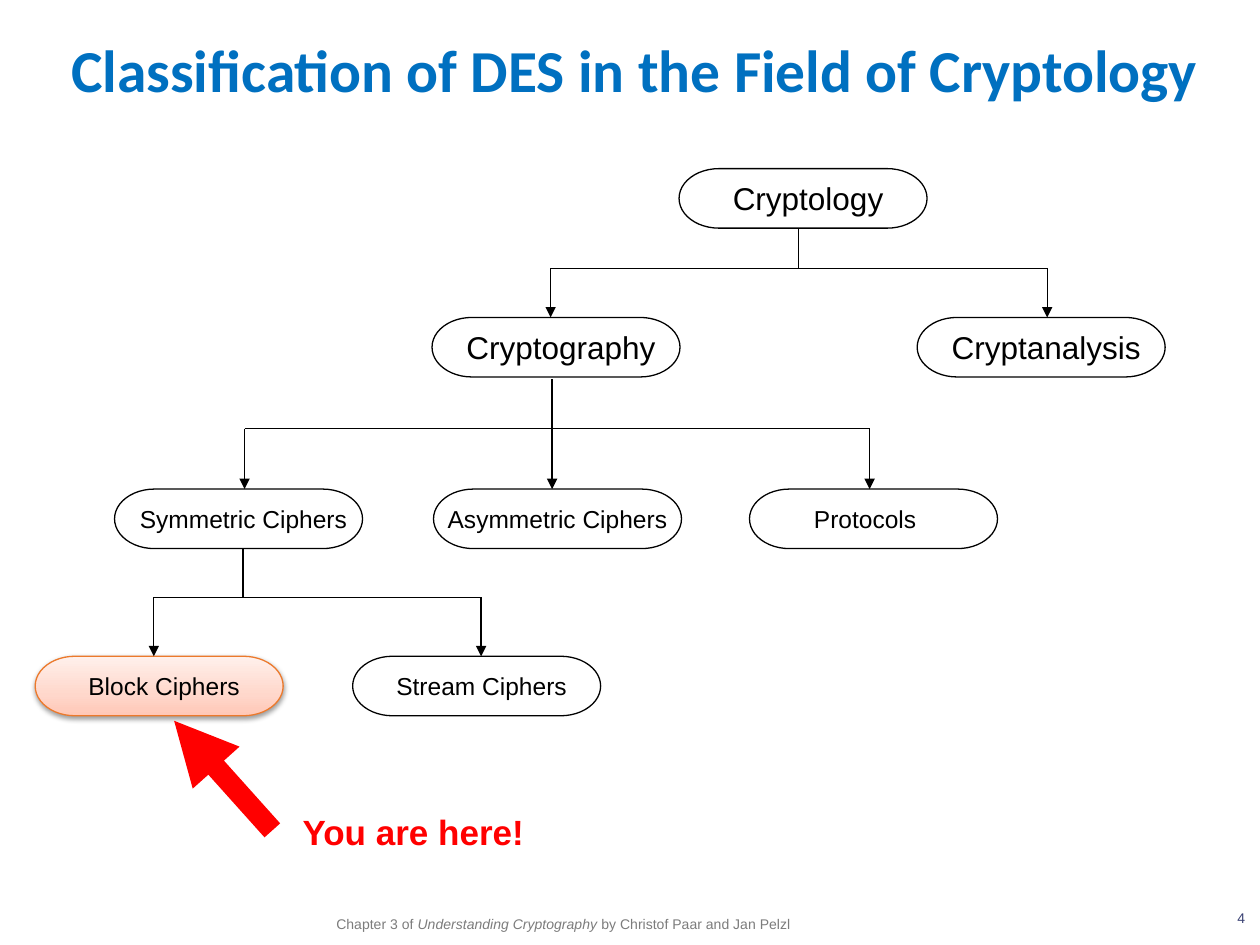
from pptx import Presentation
from pptx.dml.color import RGBColor
from pptx.enum.shapes import MSO_CONNECTOR, MSO_SHAPE
from pptx.enum.text import MSO_ANCHOR, MSO_AUTO_SIZE, PP_ALIGN
from pptx.oxml import parse_xml
from pptx.oxml.ns import nsdecls
from pptx.util import Cm, Pt

PILL = MSO_SHAPE.FLOWCHART_TERMINATOR
LINE = MSO_CONNECTOR.STRAIGHT
MIDDLE, NOFIT = MSO_ANCHOR.MIDDLE, MSO_AUTO_SIZE.NONE
LEFT, CENTER, RIGHT = PP_ALIGN.LEFT, PP_ALIGN.CENTER, PP_ALIGN.RIGHT

HEX = {
    "ink": "000000", "title": "0070C0", "mark": "FF0000", "edge": "EC792B",
    "foot": "7C7C7C", "page": "394073",
}
GLOW = [(0, "FFC7B6"), (35, "FFD7CB"), (100, "FFF0EB")]
NODE_W, NODE_H = 5, 1.2

# Rows of the tree: top, font size, nodes as (left, text, text shift)
ROWS = [
    (3.4, 18, [(13.69, "Cryptology", 0.2)]),
    (6.4, 18, [(8.71, "Cryptography", 0.2), (18.49, "Cryptanalysis", 0.2)]),
    (9.86, 14, [(2.31, "Symmetric Ciphers", 0.2),
                (8.74, "Asymmetric Ciphers", 0.1),
                (15.11, "Protocols ", 0)]),
    (13.23, 14, [(0.71, "Block Ciphers", 0.2), (7.11, "Stream Ciphers", 0.2)]),
]
# Branches: stem x, stem top, bar y, arrow end y, arrow xs
FORKS = [
    (16.1, 4.62, 5.41, 6.4, [11.1, 21.11]),
    (11.13, 7.65, 8.64, 9.86, [4.93, 11.13, 17.53]),
    (4.9, 11.05, 12.04, 13.23, [3.1, 9.7]),
]


def color(name):
    return RGBColor.from_string(HEX[name])


def style(font, size, name, face="Arial", bold=False):
    font.size, font.name, font.bold = Pt(size), face, bold
    font.color.rgb = color(name)


def label(slide, box, text, size, name, align=CENTER, bold=False, wrap=True):
    """Add a text box without margins and return its paragraph."""
    frame = slide.shapes.add_textbox(*map(Cm, box)).text_frame
    frame.margin_left = frame.margin_right = 0
    frame.margin_top = frame.margin_bottom = 0
    frame.word_wrap = wrap
    para = frame.paragraphs[0]
    para.alignment = align
    if text:
        para.add_run().text = text
    style(para.font, size, name, bold=bold)
    return para


def line(slide, start, end, name="ink", width=0.75, arrow=False):
    link = slide.shapes.add_connector(LINE, *map(Cm, start + end))
    link.line.color.rgb = color(name)
    link.line.width = Pt(width)
    if arrow:
        link.line._get_or_add_ln().append(
            parse_xml(f'<a:tailEnd {nsdecls("a")} type="triangle"/>'))
    link._element.spPr.append(parse_xml(f'<a:effectLst {nsdecls("a")}/>'))


def glow(shape):
    """Give the current node its gradient and soft shadow."""
    stops = "".join(
        f'<a:gs pos="{pos * 1000}"><a:srgbClr val="{tone}"/></a:gs>'
        for pos, tone in GLOW)
    props = shape._element.spPr
    props.remove(props.find("{*}noFill"))
    props.insert(2, parse_xml(
        f'<a:gradFill {nsdecls("a")} rotWithShape="1"><a:gsLst>{stops}</a:gsLst>'
        '<a:lin ang="16200000" scaled="0"/></a:gradFill>'))
    props.find("{*}effectLst").append(parse_xml(
        f'<a:outerShdw {nsdecls("a")} blurRad="{Pt(3.1)}" dist="{Pt(1.6)}" '
        'dir="5400000" rotWithShape="0"><a:srgbClr val="000000">'
        '<a:alpha val="38000"/></a:srgbClr></a:outerShdw>'))


def node(slide, left, top, text, shift, size):
    here = text == "Block Ciphers"
    pill = slide.shapes.add_shape(PILL, *map(Cm, (left, top, NODE_W, NODE_H)))
    pill.shadow.inherit = False
    pill.fill.background()
    pill.line.color.rgb = color("edge" if here else "ink")
    pill.line.width = Pt(0.75)
    if here:
        glow(pill)
    high = size * 0.043
    box = (left + shift, top + (NODE_H - high) / 2, 4.8, high)
    label(slide, box, text, size, "ink")


def fork(slide, stem, top, bar, end, tips):
    line(slide, (stem, top), (stem, bar))
    line(slide, (tips[0], bar), (tips[-1], bar))
    for tip in tips:
        line(slide, (tip, bar), (tip, end), arrow=True)


def tree(slide):
    for top, size, nodes in ROWS:
        for left, text, shift in nodes:
            node(slide, left, top, text, shift, size)
    for parts in FORKS:
        fork(slide, *parts)


def head(slide, box):
    title = slide.shapes.title
    title.left, title.top, title.width, title.height = map(Cm, box)
    frame = title.text_frame
    frame.text = "Classification of DES in the Field of Cryptology"
    frame.vertical_anchor, frame.auto_size = MIDDLE, NOFIT
    para = frame.paragraphs[0]
    para.alignment = CENTER
    style(para.font, 34, "title", "Calibri", True)


def pointer(slide, left, top):
    line(slide, (left + 1.98, top + 2.21), (left, top), "mark", 12, True)
    label(slide, (left + 2.59, top + 1.8, 4.5, 0.84), "You are here!", 20,
          "mark", LEFT, True, False)


def foot(slide, left, top):
    para = label(slide, (left, top, 12, 0.6), "", 8, "foot", LEFT)
    para.line_spacing = 1.2
    for text, slant in (("Chapter 3 of ", False),
                        ("Understanding Cryptography", True),
                        (" by Christof Paar and Jan Pelzl", False)):
        run = para.add_run()
        run.text, run.font.italic = text, slant
    label(slide, (left + 16.92, top - 0.05, 1.4, 0.53), "4", 8, "page", RIGHT)


def main():
    deck = Presentation()
    deck.slide_width, deck.slide_height = Cm(25.4), Cm(19.05)
    slide = deck.slides.add_slide(deck.slide_layouts[5])
    head(slide, (0.66, 0.43, 24.26, 1.9))
    tree(slide)
    pointer(slide, 3.51, 14.53)
    foot(slide, 6.78, 18.39)
    deck.save("out.pptx")


if __name__ == "__main__":
    main()
